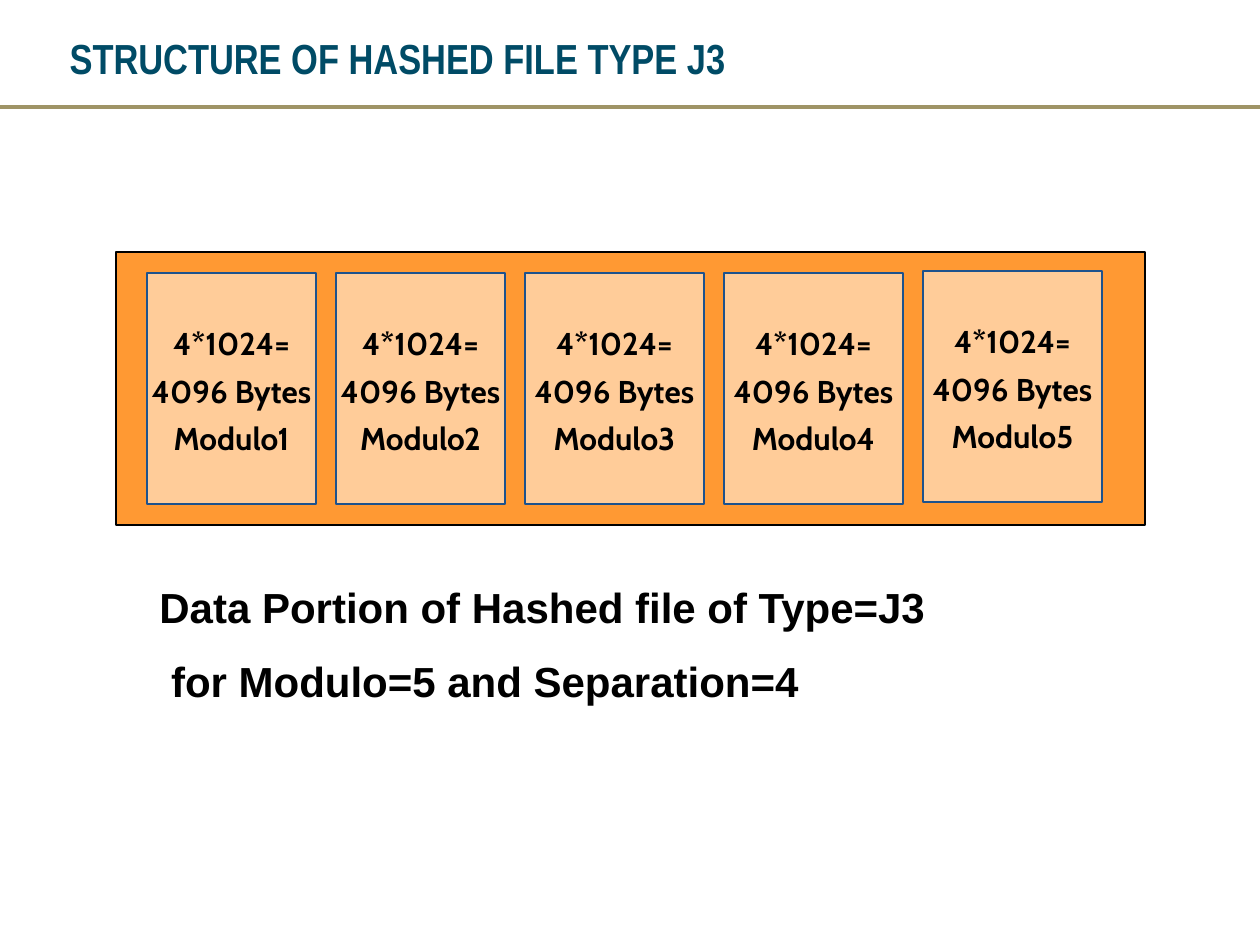
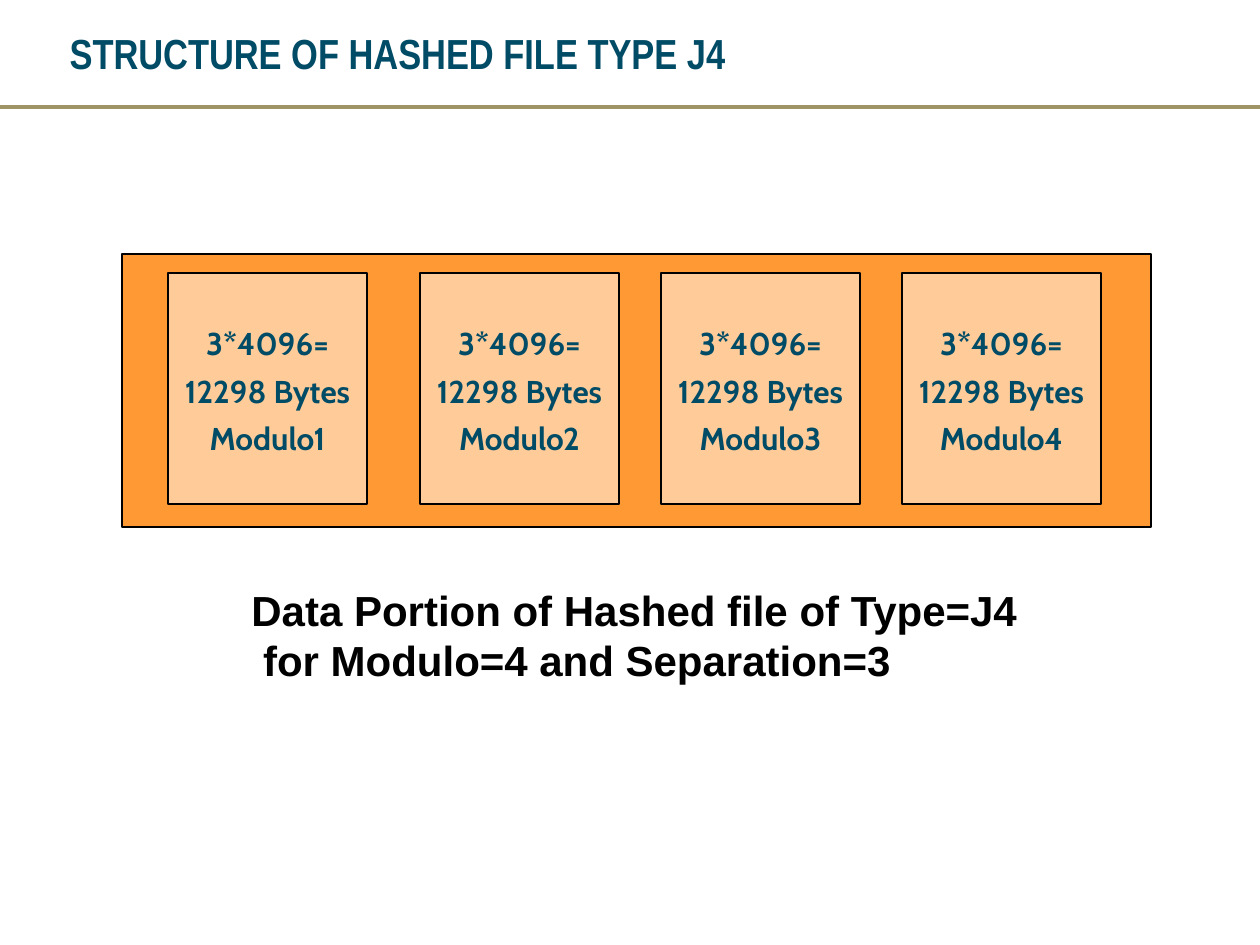
from lxml.etree import SubElement
from pptx import Presentation
from pptx.dml.color import RGBColor
from pptx.enum.shapes import MSO_CONNECTOR, MSO_SHAPE
from pptx.enum.text import MSO_ANCHOR, PP_ALIGN
from pptx.oxml.ns import qn
from pptx.util import Emu, Pt

COLORS = {
    "title": "004B66",
    "rule": "9F9466",
    "file": "FF9933",
    "group": "FFCC99",
    "blue": "1D528D",
    "black": "000000",
}
TITLE_LEFT, TITLE_WIDTH, TITLE_BOTTOM = 57, 1046, 87
RULE_TOP = 107
FILE_SIZE = (1029, 273)
GROUP_HEIGHT = 231

SLIDES = [
    {
        "title": "STRUCTURE OF HASHED FILE TYPE J3",
        "title_top": 28,
        "file_at": (116, 252),
        "group_text": ["4*1024=", "4096 Bytes"],
        "group_line": "blue",
        "group_ink": "black",
        "first_left": 147,
        "widths": [169, 169, 179, 179, 179],
        "gaps": [20, 20, 20, 20, 0],
        "tops": [273, 273, 273, 273, 271],
        "caption": ["Data Portion of Hashed file of Type=J3",
                    " for Modulo=5 and Separation=4"],
        "caption_box": (147, 575, 863, 140),
        "caption_gap": 13.5,
    },
    {
        "title": "STRUCTURE OF HASHED FILE TYPE J4",
        "title_top": 19,
        "file_at": (122, 254),
        "group_text": ["3*4096=", "12298 Bytes"],
        "group_line": "black",
        "group_ink": "title",
        "first_left": 168,
        "widths": [199, 199, 199, 199],
        "gaps": [53, 42, 42, 0],
        "tops": [273, 273, 273, 273],
        "caption": ["Data Portion of Hashed file of Type=J4",
                    " for Modulo=4 and Separation=3"],
        "caption_box": (239, 578, 835, 115),
        "caption_gap": 0,
    },
]


def px(*lengths):
    """Turn pixels, 126 to the inch, into EMU."""
    return [Emu(round(length * 914400 / 126)) for length in lengths]


def write(frame, lines, font, size, color, align=PP_ALIGN.LEFT):
    frame.text = "\n".join(lines)
    for paragraph in frame.paragraphs:
        paragraph.alignment = align
        for run in paragraph.runs:
            run.font.name = font
            run.font.size = Pt(size)
            run.font.bold = True
            run.font.color.rgb = RGBColor.from_string(COLORS[color])


prs = Presentation()
prs.slide_width, prs.slide_height = px(1260, 945)
title_only = prs.slide_layouts[5]

for content in SLIDES:
    slide = prs.slides.add_slide(title_only)
    shapes = slide.shapes

    rule = shapes.add_connector(MSO_CONNECTOR.STRAIGHT, *px(0, RULE_TOP, 1260, RULE_TOP))
    rule.line.color.rgb = RGBColor.from_string(COLORS["rule"])
    rule.line.width = Pt(2)
    SubElement(rule._element.spPr, qn("a:effectLst"))

    title = shapes.title
    title_top = content["title_top"]
    title.left, title.top, title.width, title.height = px(
        TITLE_LEFT, title_top, TITLE_WIDTH, TITLE_BOTTOM - title_top)
    title.text_frame.vertical_anchor = MSO_ANCHOR.MIDDLE
    write(title.text_frame, [content["title"]], "Arial Narrow", 24, "title")

    # The file area first, then its groups from left to right
    rectangles = [(*content["file_at"], *FILE_SIZE, "file", "black")]
    left = content["first_left"]
    for width, gap, top in zip(content["widths"], content["gaps"], content["tops"]):
        rectangles.append((left, top, width, GROUP_HEIGHT, "group", content["group_line"]))
        left += width + gap

    for number, (*box, fill, outline) in enumerate(rectangles):
        area = shapes.add_shape(MSO_SHAPE.RECTANGLE, *px(*box))
        area.shadow.inherit = False
        area.fill.solid()
        area.fill.fore_color.rgb = RGBColor.from_string(COLORS[fill])
        area.line.color.rgb = RGBColor.from_string(COLORS[outline])
        area.line.width = Pt(1)
        if fill == "group":
            frame = area.text_frame
            frame.word_wrap = False
            frame.vertical_anchor = MSO_ANCHOR.MIDDLE
            write(frame, [*content["group_text"], f"Modulo{number}"],
                  "Cabin", 18, content["group_ink"], PP_ALIGN.CENTER)
            for paragraph in frame.paragraphs:
                paragraph.line_spacing = 1.1
                paragraph.space_before = Pt(3.6)

    caption = shapes.add_textbox(*px(*content["caption_box"])).text_frame
    caption.word_wrap = True
    write(caption, content["caption"], "Arial", 24, "black")
    caption.paragraphs[1].space_before = Pt(content["caption_gap"])

prs.save("out.pptx")
